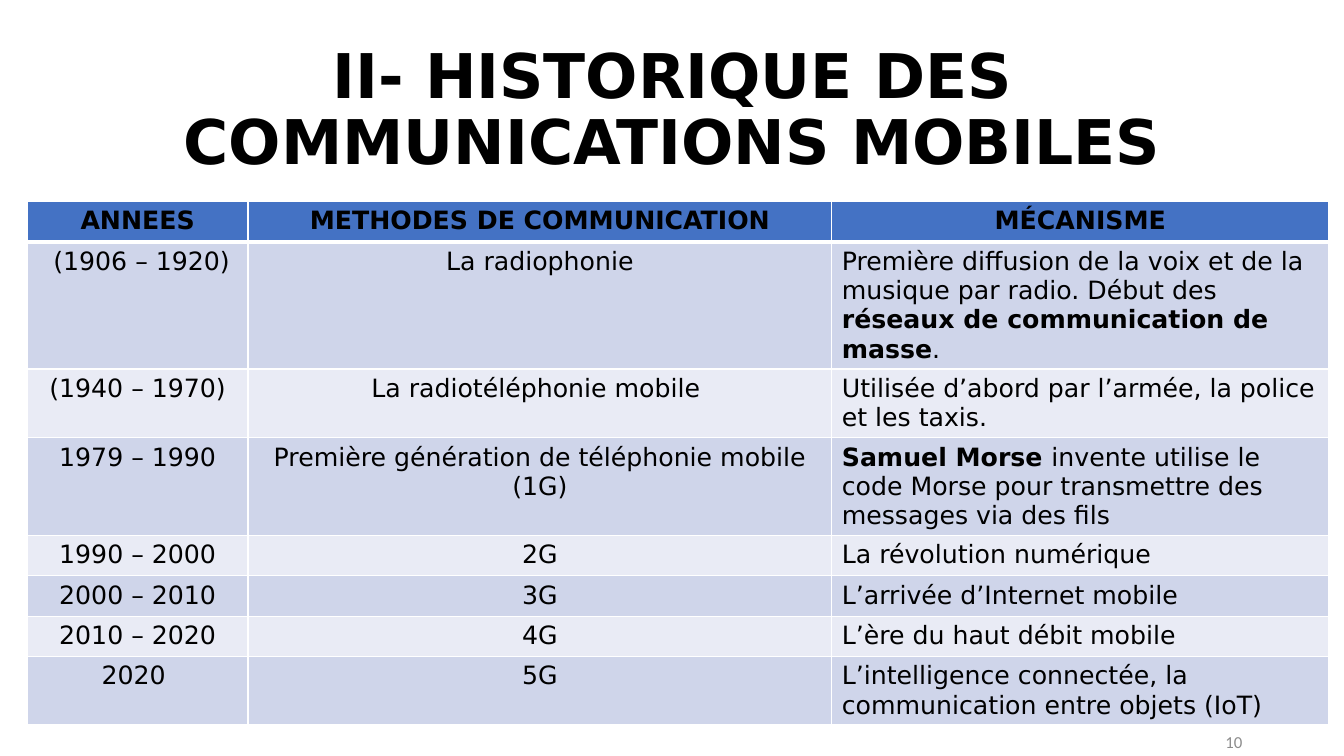
from lxml import etree
from pptx import Presentation
from pptx.dml.color import RGBColor as RGB
from pptx.enum.text import MSO_ANCHOR as ANCHOR, MSO_AUTO_SIZE as AUTOSIZE, PP_ALIGN as ALIGN
from pptx.oxml.ns import qn
from pptx.util import Pt

PX = 9144  # EMU per px, 100 px to the inch
COLORS = {"text": "000000", "header": "4472C4", "odd": "CFD5EA",
          "even": "E9EBF5", "border": "FFFFFF", "number": "8C8C8C"}
FONT = "DejaVu Sans"


def style(r, size, color="text", bold=False, font=FONT):
    r.font.name = font
    r.font.size = Pt(size)
    r.font.bold = bold
    r.font.color.rgb = RGB.from_string(COLORS[color])


def add_borders(cell, top, bottom):
    tcPr = cell._tc.get_or_add_tcPr()
    widths = {"a:lnL": 1, "a:lnR": 1, "a:lnT": top, "a:lnB": bottom}
    for i, (tag, width) in enumerate(widths.items()):
        ln = etree.Element(qn(tag), w=str(Pt(width)))
        fill = etree.SubElement(ln, qn("a:solidFill"))
        etree.SubElement(fill, qn("a:srgbClr"), val=COLORS["border"])
        tcPr.insert(i, ln)


prs = Presentation()
prs.slide_width, prs.slide_height = 1333 * PX, 750 * PX
s = prs.slides.add_slide(prs.slide_layouts[5])

# Title
title = s.shapes.title
title.left, title.top, title.width, title.height = [v * PX for v in (92, 38, 1150, 145)]
tf = title.text_frame
tf.text = "II- HISTORIQUE DES COMMUNICATIONS MOBILES"
tf.word_wrap = True
tf.auto_size = AUTOSIZE.NONE
tf.vertical_anchor = ANCHOR.MIDDLE
p = tf.paragraphs[0]
p.alignment = ALIGN.CENTER
p.line_spacing = 0.9
style(p.runs[0], 44, bold=True)

# History table; ** switches bold on and off
ROWS = [
    ("**ANNEES", "**METHODES DE COMMUNICATION", "**MÉCANISME"),
    (" (1906 – 1920)", "La radiophonie",
     "Première diffusion de la voix et de la musique par radio. Début des "
     "**réseaux de communication de masse**."),
    ("(1940 – 1970)", "La radiotéléphonie mobile ",
     "Utilisée d’abord par l’armée, la police et les taxis."),
    ("1979 – 1990", "Première génération de téléphonie mobile (1G)",
     "**Samuel Morse **invente utilise le code Morse pour transmettre des messages via des fils"),
    ("1990 – 2000", "2G", "La révolution numérique"),
    ("2000 – 2010", "3G", "L’arrivée d’Internet mobile"),
    ("2010 – 2020", "4G", "L’ère du haut débit mobile"),
    ("2020 ", "5G", "L’intelligence connectée, la communication entre objets (IoT)"),
]
COL_WIDTHS = (219, 579, 493)
ROW_HEIGHT = 40
table = s.shapes.add_table(len(ROWS), len(COL_WIDTHS), 27 * PX, 200 * PX,
                           sum(COL_WIDTHS) * PX, len(ROWS) * ROW_HEIGHT * PX).table
for col, width in zip(table.columns, COL_WIDTHS):
    col.width = width * PX

for i, row in enumerate(ROWS):
    fill = "header" if i == 0 else "odd" if i % 2 else "even"
    for j, text in enumerate(row):
        cell = table.cell(i, j)
        cell.fill.solid()
        cell.fill.fore_color.rgb = RGB.from_string(COLORS[fill])
        add_borders(cell, top=3 if i == 1 else 1, bottom=3 if i == 0 else 1)
        p = cell.text_frame.paragraphs[0]
        p.alignment = ALIGN.LEFT if i and j == 2 else ALIGN.CENTER
        for k, part in enumerate(text.split("**")):
            if part:
                r = p.add_run()
                r.text = part
                style(r, 18, bold=k % 2 == 1)

# Slide number, in the strip below the table
number = s.shapes.add_textbox(942 * PX, 724 * PX, 300 * PX, 24 * PX)
tf = number.text_frame
tf.text = "10"
tf.word_wrap = True
tf.margin_top = tf.margin_bottom = 0
tf.vertical_anchor = ANCHOR.MIDDLE
p = tf.paragraphs[0]
p.alignment = ALIGN.RIGHT
style(p.runs[0], 12, "number", font="Calibri")

prs.save("out.pptx")
